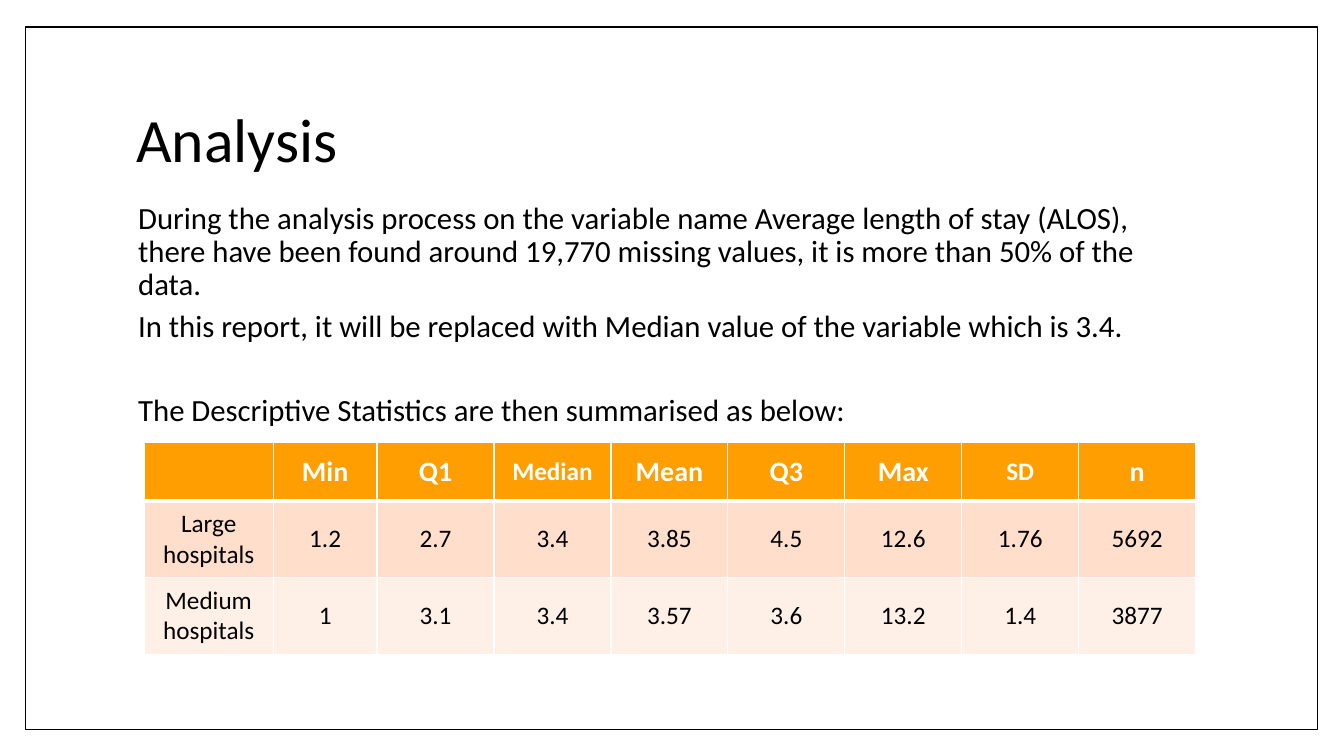
from lxml import etree
from pptx import Presentation
from pptx import util as u
from pptx.dml import color
from pptx.enum import shapes, text
from pptx.oxml import ns

FONT = "Calibri"
BLACK, WHITE, ORANGE = "000000", "FFFFFF", "FE9E00"
ROW_FILLS = ["FFDFCC", "FFF0E7"]

PARAGRAPHS = [
    "During the analysis process on the variable name Average length of stay (ALOS), "
    "there have been found around 19,770 missing values, it is more than 50% of the data.",
    "In this report, it will be replaced with Median value of the variable which is 3.4.",
    "The Descriptive Statistics are then summarised as below:",
]
SPACES_BEFORE = [0, 2, 32]

STATISTICS = [
    ["", "Min", "Q1", "Median", "Mean", "Q3", "Max", "SD", "n"],
    ["Large hospitals", "1.2", "2.7", "3.4", "3.85", "4.5", "12.6", "1.76", "5692"],
    ["Medium hospitals", "1", "3.1", "3.4", "3.57", "3.6", "13.2", "1.4", "3877"],
]
COLUMN_WIDTHS = [1.28, 1.03] + [1.16] * 7
ROW_HEIGHTS = [0.58, 0.76, 0.76]
SMALL_HEADINGS = {"Median", "SD"}


def rgb(value):
    return color.RGBColor.from_string(value)


def style(font, size, colour, bold=False):
    font.name, font.size, font.bold = FONT, u.Pt(size), bold
    font.color.rgb = rgb(colour)


def place(shape, box):
    shape.left, shape.top, shape.width, shape.height = map(u.Inches, box)


def add_frame(page, box):
    """Draw the page border behind everything else."""
    frame = page.shapes.add_shape(shapes.MSO_SHAPE.RECTANGLE, *map(u.Inches, box))
    frame.shadow.inherit = False
    frame.fill.solid()
    frame.fill.fore_color.rgb = rgb(WHITE)
    frame.line.color.rgb = rgb(BLACK)
    frame.line.width = u.Pt(1)
    page.shapes._spTree.insert(2, frame._element)


def fill_title(title, box):
    place(title, box)
    title.text_frame.text = "Analysis"
    title.text_frame.vertical_anchor = text.MSO_ANCHOR.MIDDLE
    para = title.text_frame.paragraphs[0]
    para.alignment = text.PP_ALIGN.LEFT
    para.line_spacing = 0.9
    style(para.runs[0].font, 44, BLACK)


def fill_body(body, box):
    place(body, box)
    frame = body.text_frame
    frame.text = "\n".join(PARAGRAPHS)
    for para, space in zip(frame.paragraphs, SPACES_BEFORE):
        para.level = 1
        properties = para._p.get_or_add_pPr()
        properties.set("marL", str(u.Inches(0.5)))
        properties.set("indent", "0")
        etree.SubElement(properties, ns.qn("a:buNone"))
        para.line_spacing = 0.9
        para.space_before, para.space_after = u.Pt(space), u.Pt(4)
        style(para.runs[0].font, 22, BLACK)


def set_borders(cell, widths):
    """Give the cell white borders; widths maps the sides L, R, T, B to points."""
    properties = cell._tc.get_or_add_tcPr()
    for position, (side, width) in enumerate(widths.items()):
        line = etree.Element(ns.qn(f"a:ln{side}"), w=str(u.Pt(width)))
        fill = etree.SubElement(line, ns.qn("a:solidFill"))
        etree.SubElement(fill, ns.qn("a:srgbClr"), val=WHITE)
        properties.insert(position, line)


def add_statistics(page, box):
    table = page.shapes.add_table(
        len(STATISTICS), len(COLUMN_WIDTHS), *map(u.Inches, box)).table
    for column, width in zip(table.columns, COLUMN_WIDTHS):
        column.width = u.Inches(width)
    for row, height in zip(table.rows, ROW_HEIGHTS):
        row.height = u.Inches(height)
    for r, values in enumerate(STATISTICS):
        heading = r == 0
        for c, value in enumerate(values):
            cell = table.cell(r, c)
            cell.fill.solid()
            cell.fill.fore_color.rgb = rgb(ORANGE if heading else ROW_FILLS[r - 1])
            set_borders(cell, {"L": 1, "R": 1, "T": 3 if r == 1 else 1,
                               "B": 3 if heading else 1})
            cell.vertical_anchor = text.MSO_ANCHOR.MIDDLE
            cell.text_frame.text = value
            para = cell.text_frame.paragraphs[0]
            para.alignment = text.PP_ALIGN.CENTER
            size = 20 if heading and value not in SMALL_HEADINGS else 18
            style(para.font, size, WHITE if heading else BLACK, heading)
            for span in para.runs:
                style(span.font, size, WHITE if heading else BLACK, heading)


def main():
    deck = Presentation()
    deck.slide_width, deck.slide_height = u.Inches(13.33), u.Inches(7.5)
    page = deck.slides.add_slide(deck.slide_layouts[1])
    add_frame(page, (0.25, 0.27, 12.82, 6.97))
    fill_title(page.shapes.title, (1.25, 0.67, 10.8, 1.48))
    fill_body(page.placeholders[1], (0.77, 1.96, 11.08, 3.24))
    add_statistics(page, (1.43, 4.39, sum(COLUMN_WIDTHS), sum(ROW_HEIGHTS)))
    deck.save("out.pptx")


if __name__ == "__main__":
    main()
